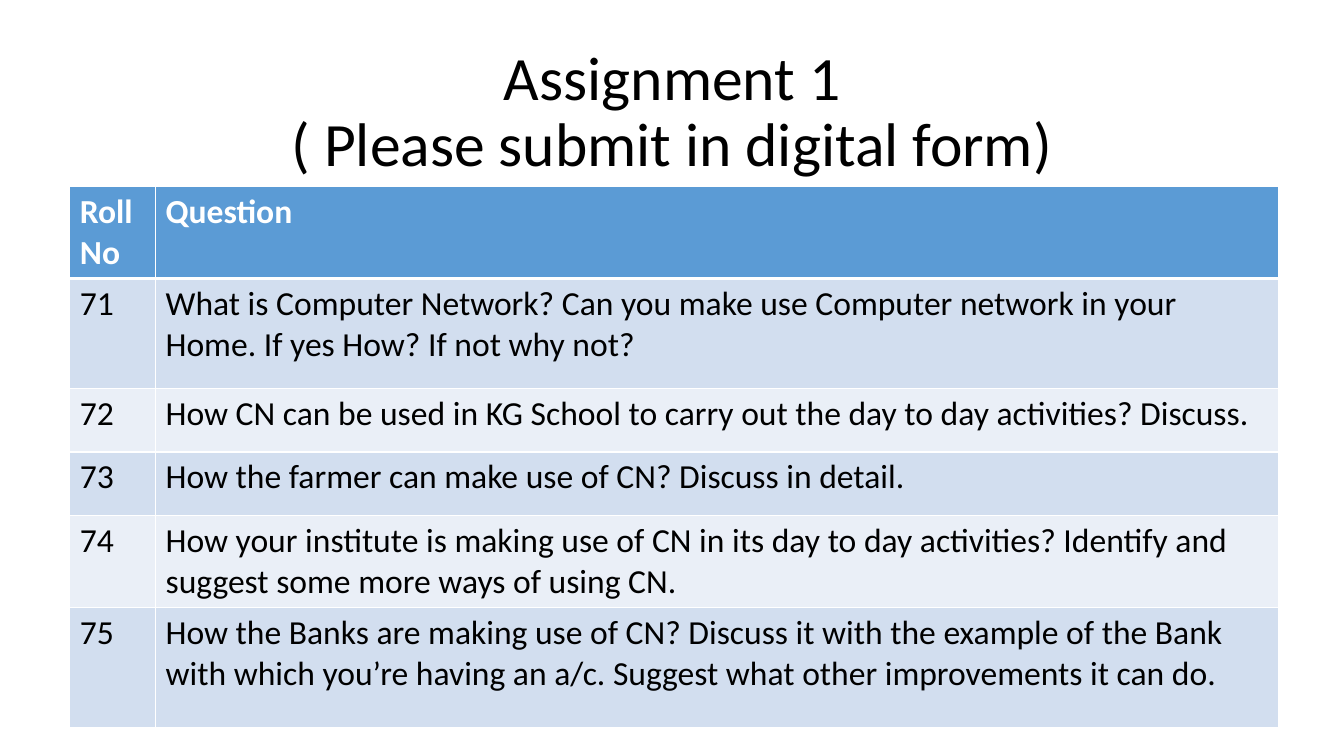
"""Builds the Assignment 1 slide: a two-line title above a table of questions by roll number."""
import dataclasses

import pptx
import pptx.dml.color
import pptx.enum.text
import pptx.oxml
import pptx.oxml.ns
import pptx.util

Cm = pptx.util.Cm

TITLE_LINES = ["Assignment 1", "( Please submit in digital form)"]
HEADINGS = ("Roll No", "Question")
QUESTIONS = [
    ("71", "What is Computer Network? Can you make use Computer network in your Home. If yes How? If not why not?"),
    ("72", "How CN can be used in KG School to carry out the day to day activities? Discuss."),
    ("73", "How the farmer can make use of CN? Discuss in detail."),
    ("74", "How your institute is making use of CN in its day to day activities? Identify and suggest some more ways of using CN."),
    ("75", "How the Banks are making use of CN? Discuss it with the example of the Bank with which you’re having an a/c. Suggest what other improvements it can do."),
]
TITLE_BOX = (2.34, 1.02, 29.21, 3.68)
TABLE_CORNER = (1.76, 4.7)
COLUMN_WIDTHS = (2.16, 28.3)
ROW_HEIGHTS = (2.29, 2.77, 1.6, 1.6, 2.29, 3.02)


@dataclasses.dataclass(frozen=True)
class Theme:
    """Colours, font and point sizes of the slide."""
    font: str = "Calibri"
    title_size: int = 44
    table_size: int = 24
    text: str = "000000"
    heading_text: str = "FFFFFF"
    heading_fill: str = "5B9BD5"
    bands: tuple = ("D2DEEF", "EAEFF7")
    border: str = "FFFFFF"
    border_width: int = 1
    heading_border_width: int = 3


THEME = Theme()


def rgb(colour):
    """Return the colour object for a hex string."""
    return pptx.dml.color.RGBColor.from_string(colour)


def add_run(paragraph, wording, size, colour, bold=False):
    """Add one formatted run to a paragraph."""
    run = paragraph.add_run()
    run.text = wording
    run.font.name = THEME.font
    run.font.size = pptx.util.Pt(size)
    run.font.bold = bold
    run.font.color.rgb = rgb(colour)


def set_borders(cell, row_index):
    """Draw the cell borders, thicker where the heading row meets the questions."""
    widths = dict.fromkeys("LRTB", THEME.border_width)
    if row_index < 2:
        widths["BT"[row_index]] = THEME.heading_border_width
    properties = cell._tc.get_or_add_tcPr()
    for side, width in widths.items():
        properties.append(pptx.oxml.parse_xml(
            f'<a:ln{side} {pptx.oxml.ns.nsdecls("a")} w="{pptx.util.Pt(width)}">'
            f'<a:solidFill><a:srgbClr val="{THEME.border}"/></a:solidFill></a:ln{side}>'))


def add_title(slide):
    """Place and write the centred title."""
    title = slide.shapes.title
    title.left, title.top, title.width, title.height = map(Cm, TITLE_BOX)
    frame = title.text_frame
    frame.word_wrap = True
    frame.auto_size = pptx.enum.text.MSO_AUTO_SIZE.NONE
    frame.vertical_anchor = pptx.enum.text.MSO_ANCHOR.MIDDLE
    paragraph = frame.paragraphs[0]
    paragraph.alignment = pptx.enum.text.PP_ALIGN.CENTER
    paragraph.line_spacing = 0.9
    for index, line in enumerate(TITLE_LINES):
        if index:
            paragraph.add_line_break()
        add_run(paragraph, line, THEME.title_size, THEME.text)


def add_questions(slide):
    """Add the table of roll numbers and questions."""
    rows = [HEADINGS, *QUESTIONS]
    size = (sum(COLUMN_WIDTHS), sum(ROW_HEIGHTS))
    table = slide.shapes.add_table(
        len(rows), len(HEADINGS), *map(Cm, TABLE_CORNER + size)).table
    for column, width in zip(table.columns, COLUMN_WIDTHS):
        column.width = Cm(width)
    for row_index, (row, height) in enumerate(zip(rows, ROW_HEIGHTS)):
        table.rows[row_index].height = Cm(height)
        heading = row_index == 0
        fill = THEME.heading_fill if heading else THEME.bands[(row_index - 1) % 2]
        colour = THEME.heading_text if heading else THEME.text
        for column_index, wording in enumerate(row):
            cell = table.cell(row_index, column_index)
            set_borders(cell, row_index)
            cell.fill.solid()
            cell.fill.fore_color.rgb = rgb(fill)
            add_run(cell.text_frame.paragraphs[0], wording, THEME.table_size, colour, heading)


def main():
    """Build and save the presentation."""
    deck = pptx.Presentation()
    deck.slide_width, deck.slide_height = Cm(33.87), Cm(19.05)
    slide = deck.slides.add_slide(deck.slide_layouts[5])
    add_title(slide)
    add_questions(slide)
    deck.save("out.pptx")


if __name__ == "__main__":
    main()
